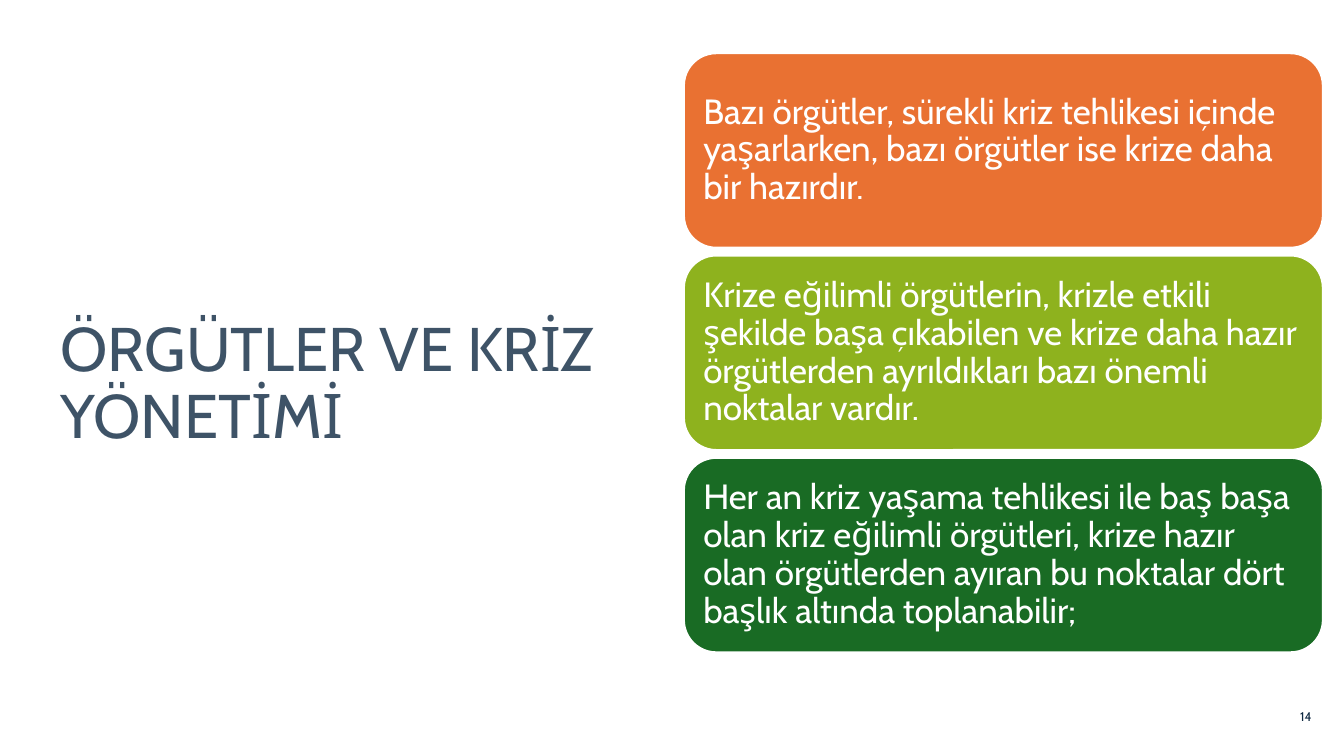
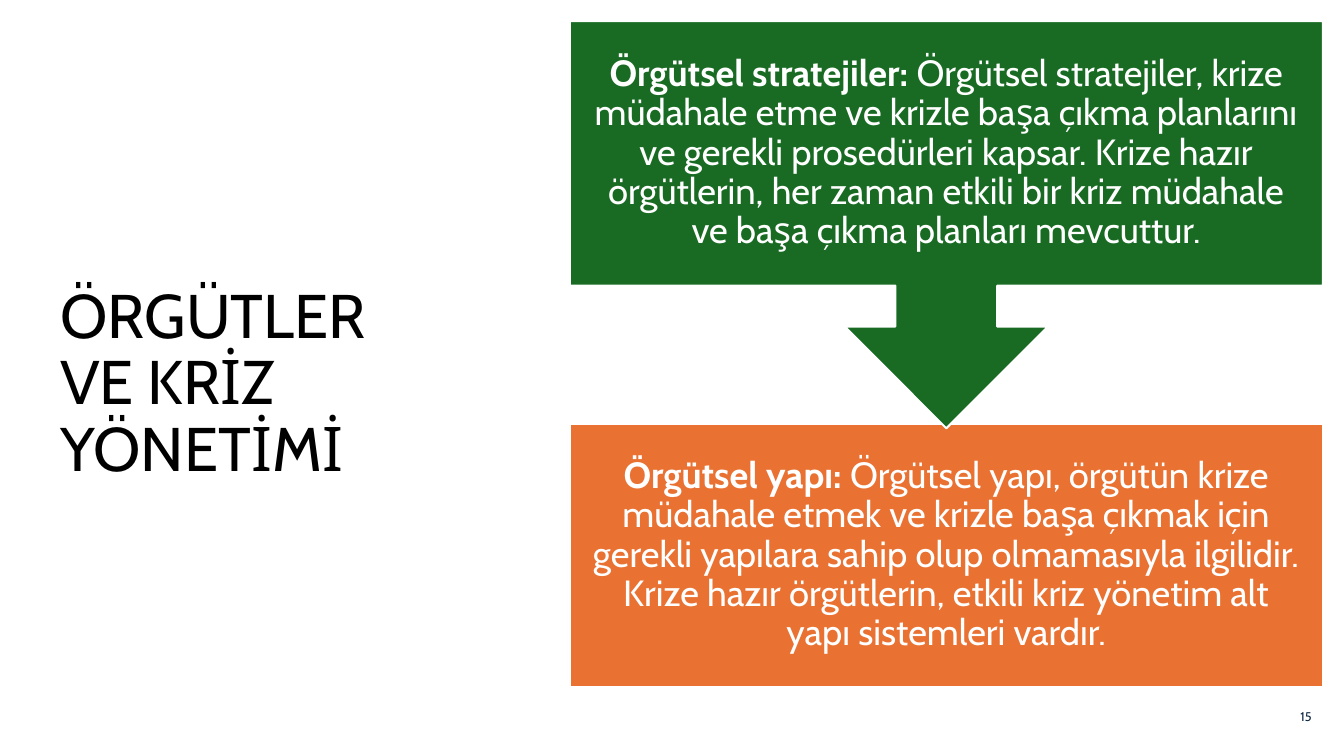
import pptx
import pptx.util
import pptx.dml.color
import pptx.enum.shapes
import pptx.enum.text

Pt = pptx.util.Pt
RGB = pptx.dml.color.RGBColor
Kind = pptx.enum.shapes.MSO_SHAPE
Align = pptx.enum.text.PP_ALIGN
Anchor = pptx.enum.text.MSO_ANCHOR

WHITE = RGB(0xFF, 0xFF, 0xFF)
BLACK = RGB(0x00, 0x00, 0x00)
NAVY = RGB(0x0E, 0x28, 0x41)
SLATE = RGB(0x3E, 0x53, 0x67)
ORANGE = RGB(0xE9, 0x71, 0x32)
LIME = RGB(0x8E, 0xB2, 0x1E)
GREEN = RGB(0x19, 0x6B, 0x24)


class Deck:
    font = "Cabin"

    def __init__(self):
        self.prs = pptx.Presentation()
        self.prs.slide_width = Pt(960)
        self.prs.slide_height = Pt(540)
        self.slide = None

    def page(self, title, width, color, number):
        """Start a slide with its title and page number."""
        self.slide = self.prs.slides.add_slide(self.prs.slide_layouts[6])
        self.label((36, 57, width, 436), title, 44, color)
        self.label((881, 498, 63, 29), str(number), 9, NAVY, Align.RIGHT)

    def label(self, area, text, size, color, align=Align.LEFT):
        box = self.slide.shapes.add_textbox(*map(Pt, area))
        self.set_text(box.text_frame, [text], size, color, align)

    def block(self, kind, area, fill, texts, size, inset, align):
        """Draw a filled shape with text inside."""
        shape = self.slide.shapes.add_shape(kind, *map(Pt, area))
        shape.shadow.inherit = False
        shape.fill.solid()
        shape.fill.fore_color.rgb = fill
        shape.line.color.rgb = WHITE
        shape.line.width = Pt(1.5)
        frame = shape.text_frame
        frame.margin_left = frame.margin_right = Pt(inset)
        frame.margin_top = frame.margin_bottom = Pt(inset)
        self.set_text(frame, texts, size, WHITE, align)

    def set_text(self, frame, texts, size, color, align):
        """Fill one paragraph; with several texts the first is bold."""
        frame.word_wrap = True
        frame.vertical_anchor = Anchor.MIDDLE
        para = frame.paragraphs[0]
        para.alignment = align
        para.line_spacing = 0.9
        for i, text in enumerate(texts):
            run = para.add_run()
            run.text = text
            run.font.name = self.font
            run.font.size = Pt(size)
            run.font.color.rgb = color
            run.font.bold = i < len(texts) - 1


TITLE = "ÖRGÜTLER VE KRİZ YÖNETİMİ"
CARDS = [
    (ORANGE, "Bazı örgütler, sürekli kriz tehlikesi içinde yaşarlarken, "
             "bazı örgütler ise krize daha bir hazırdır."),
    (LIME, "Krize eğilimli örgütlerin, krizle etkili şekilde başa çıkabilen "
           "ve krize daha hazır örgütlerden ayrıldıkları bazı önemli "
           "noktalar vardır."),
    (GREEN, "Her an kriz yaşama tehlikesi ile baş başa olan kriz eğilimli "
            "örgütleri, krize hazır olan örgütlerden ayıran bu noktalar dört "
            "başlık altında toplanabilir;"),
]
STEPS = [
    (Kind.RECTANGLE, 302.5, 188.5, ORANGE, [
        "Örgütsel yapı:",
        " Örgütsel yapı, örgütün krize müdahale etmek ve krizle başa çıkmak "
        "için gerekli yapılara sahip olup olmamasıyla ilgilidir. Krize hazır "
        "örgütlerin, etkili kriz yönetim alt yapı sistemleri vardır."]),
    (Kind.DOWN_ARROW_CALLOUT, 15, 291, GREEN, [
        "Örgütsel stratejiler:",
        " Örgütsel stratejiler, krize müdahale etme ve krizle başa çıkma "
        "planlarını ve gerekli prosedürleri kapsar. Krize hazır örgütlerin, "
        "her zaman etkili bir kriz müdahale ve başa çıkma planları "
        "mevcuttur."]),
]


def main():
    deck = Deck()

    # Three stacked cards
    deck.page(TITLE, 437, SLATE, 14)
    high, gap = 139, 5.5
    for i, (fill, text) in enumerate(CARDS):
        area = (488.5, 38 + i * (high + gap), 456.5, high)
        deck.block(Kind.ROUNDED_RECTANGLE, area, fill, [text], 25, 7.2,
                   Align.LEFT)

    # Callout pointing down to a box
    deck.page(TITLE, 294, BLACK, 15)
    for kind, top, high, fill, texts in STEPS:
        deck.block(kind, (407, top, 538, high), fill, texts, 26, 14.4,
                   Align.CENTER)

    deck.prs.save("out.pptx")


if __name__ == "__main__":
    main()
